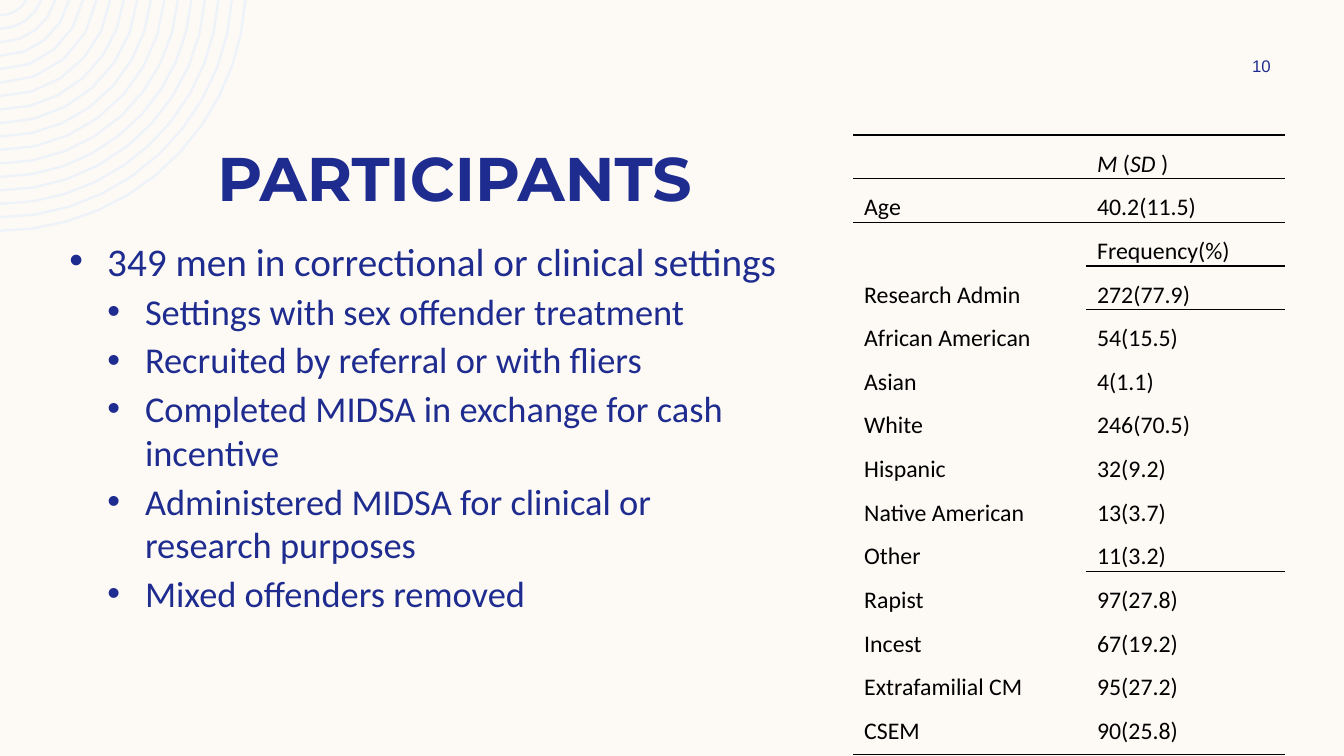
import math
from dataclasses import dataclass

import lxml.etree
import pptx
import pptx.dml.color
import pptx.enum.text
import pptx.oxml.ns
import pptx.util

WIDE = pptx.util.Inches(13.33)
HIGH = pptx.util.Inches(7.5)
HUES = {"page": "FDFAF6", "ring": "EEF3FA", "navy": "1F2C8F", "ink": "000000"}
ALIGN = pptx.enum.text.PP_ALIGN
ANCHOR = pptx.enum.text.MSO_ANCHOR
Pt = pptx.util.Pt
FONTS = {
    "title": {"name": "Montserrat", "size": Pt(44), "bold": True},
    "page": {"name": "Arial", "size": Pt(12)},
    "main": {"name": "Calibri", "size": Pt(28)},
    "sub": {"name": "Calibri", "size": Pt(26)},
    "cell": {"name": "Calibri", "size": Pt(17)},
    "stat": {"name": "Calibri", "size": Pt(17), "italic": True},
}


def col(share: float) -> int:
    return round(WIDE * share / 100)


def row(share: float) -> int:
    return round(HIGH * share / 100)


@dataclass
class Line:
    text: str
    font: str
    level: int = -1


@dataclass
class Block:
    left: float
    top: float
    width: float
    height: float
    anchor: ANCHOR
    align: ALIGN
    lines: list[Line]


BLOCKS = [
    Block(8.55, 17.73, 50.56, 11.2, ANCHOR.MIDDLE, ALIGN.CENTER,
          [Line("PARTICIPANTS", "title")]),
    Block(89.8, 6.67, 8.1, 4, ANCHOR.MIDDLE, ALIGN.CENTER, [Line("10", "page")]),
    Block(4.43, 30.67, 54.69, 64.67, ANCHOR.TOP, ALIGN.LEFT, [
        Line("349 men in correctional or clinical settings", "main", 0),
        Line("Settings with sex offender treatment", "sub", 1),
        Line("Recruited by referral or with fliers", "sub", 1),
        Line("Completed MIDSA in exchange for cash incentive", "sub", 1),
        Line("Administered MIDSA for clinical or research purposes", "sub", 1),
        Line("Mixed offenders removed", "sub", 1),
    ]),
]

STATS = [
    ("", ""),
    ("Age", "40.2(11.5)"),
    ("", "Frequency(%)"),
    ("Research Admin", "272(77.9)"),
    ("African American", "54(15.5)"),
    ("Asian", "4(1.1)"),
    ("White", "246(70.5)"),
    ("Hispanic", "32(9.2)"),
    ("Native American", "13(3.7)"),
    ("Other", "11(3.2)"),
    ("Rapist", "97(27.8)"),
    ("Incest", "67(19.2)"),
    ("Extrafamilial CM", "95(27.2)"),
    ("CSEM", "90(25.8)"),
]
HEAD = [("M ", "stat"), ("(", "cell"), ("SD ", "stat"), (")", "cell")]
RULES = [{0, 1, 2, 14}, {0, 1, 2, 3, 4, 10, 14}]
SPANS = [17.33, 14.78]


def apply(thing: object, looks: dict) -> None:
    for name, value in looks.items():
        setattr(thing, name, value)


def paint(fill, hue: str) -> None:
    fill.solid()
    fill.fore_color.rgb = pptx.dml.color.RGBColor.from_string(HUES[hue])


def write(para, text: str, font: str, hue: str) -> None:
    run = para.add_run()
    run.text = text
    apply(run.font, FONTS[font])
    run.font.color.rgb = pptx.dml.color.RGBColor.from_string(HUES[hue])


def node(parent, tag: str, **attrs: str):
    return lxml.etree.SubElement(parent, pptx.oxml.ns.qn(tag), attrs)


def draw_rings(slide, count: int = 17) -> None:
    drop, reach, step, thick = 2, 32.67, 1.78, 0.32

    def arc(size: float, parts: int) -> list[tuple[int, int]]:
        start = math.asin(drop / size)
        turns = [start + (math.pi / 2 - start) * k / parts
                 for k in range(parts + 1)]
        return [(row(size * math.cos(t)), row(size * math.sin(t) - drop))
                for t in turns]

    build = None
    for k in range(count):
        size = reach - k * step
        parts = max(4, round(size / 3))
        points = arc(size, parts) + arc(size - thick, parts)[::-1]
        if build is None:
            build = slide.shapes.build_freeform(*points[0])
        else:
            build.move_to(*points[0])
        build.add_line_segments(points[1:], close=True)
    rings = build.convert_to_shape()
    rings.shadow.inherit = False
    paint(rings.fill, "ring")
    rings.line.fill.background()


def draw_block(slide, block: Block) -> None:
    box = slide.shapes.add_textbox(
        col(block.left), row(block.top), col(block.width), row(block.height))
    frame = box.text_frame
    apply(frame, {"word_wrap": True, "vertical_anchor": block.anchor})
    for k, line in enumerate(block.lines):
        para = frame.add_paragraph() if k else frame.paragraphs[0]
        para.alignment = block.align
        write(para, line.text, line.font, "navy")
        if line.level >= 0:
            apply(para, {"level": line.level, "space_before": Pt(3.6)})
            props = para._p.get_or_add_pPr()
            dent = col(2.81)
            props.set("marL", str(dent * (line.level + 1)))
            props.set("indent", str(-dent))
            node(props, "a:buFont", typeface="Arial")
            node(props, "a:buChar", char="•")


def rule_cell(cell, above: bool, below: bool) -> None:
    props = cell._tc.get_or_add_tcPr()
    sides = {"L": False, "R": False, "T": above, "B": below}
    for side, shown in sides.items():
        edge = node(props, f"a:ln{side}", w=str(Pt(1)))
        if shown:
            node(node(edge, "a:solidFill"), "a:srgbClr", val=HUES["ink"])
        else:
            node(edge, "a:noFill")


def draw_table(slide) -> None:
    tall = [5.77] * (len(STATS) - 1) + [6.93]
    table = slide.shapes.add_table(
        len(STATS), len(SPANS), col(63.47), row(17.87),
        col(sum(SPANS)), row(sum(tall))).table
    apply(table, {"first_row": False, "horz_banding": False})
    for x, span in enumerate(SPANS):
        table.columns[x].width = col(span)
    for y, texts in enumerate(STATS):
        table.rows[y].height = row(tall[y])
        for x, text in enumerate(texts):
            cell = table.cell(y, x)
            apply(cell, {"margin_left": col(0.83), "margin_right": col(0.83),
                         "margin_top": 0, "margin_bottom": 0})
            rule_cell(cell, y in RULES[x], y + 1 in RULES[x])
            paint(cell.fill, "page")
            para = cell.text_frame.paragraphs[0]
            para.line_spacing = 1.5
            runs = HEAD if (y, x) == (0, 1) else [(text, "cell")]
            for part, font in runs:
                if part:
                    write(para, part, font, "ink")


def main() -> None:
    deck = pptx.Presentation()
    apply(deck, {"slide_width": WIDE, "slide_height": HIGH})
    slide = deck.slides.add_slide(deck.slide_layouts[6])
    paint(slide.background.fill, "page")
    draw_rings(slide)
    for block in BLOCKS:
        draw_block(slide, block)
    draw_table(slide)
    deck.save("out.pptx")


if __name__ == "__main__":
    main()
